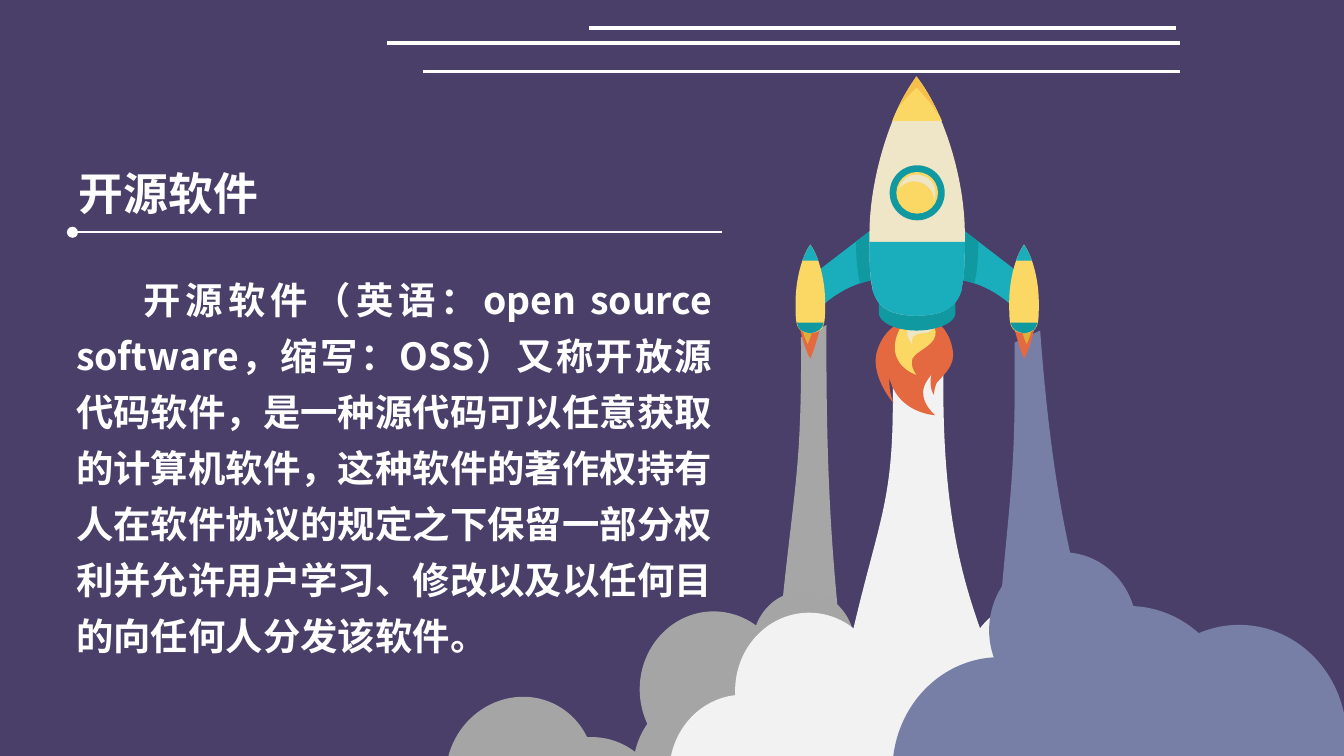
from lxml import etree
from pptx import Presentation
from pptx.dml.color import RGBColor
from pptx.enum.shapes import MSO_CONNECTOR, MSO_SHAPE
from pptx.enum.text import MSO_AUTO_SIZE, PP_ALIGN
from pptx.oxml.ns import qn
from pptx.util import Cm, Pt

STRAIGHT = MSO_CONNECTOR.STRAIGHT
OVAL = MSO_SHAPE.OVAL
FIT_TEXT = MSO_AUTO_SIZE.SHAPE_TO_FIT_TEXT
LEFT, JUSTIFY = PP_ALIGN.LEFT, PP_ALIGN.JUSTIFY

PURPLE = RGBColor(0x4A, 0x3F, 0x69)
WHITE = RGBColor(0xFF, 0xFF, 0xFF)
ASH = RGBColor(0xA5, 0xA5, 0xA5)
ASH_TRAIL = RGBColor(0xA6, 0xA6, 0xA6)
CLOUD = RGBColor(0xF2, 0xF2, 0xF2)
SLATE = RGBColor(0x78, 0x7F, 0xA7)
FIRE = RGBColor(0xE4, 0x69, 0x40)
YELLOW = RGBColor(0xFB, 0xD7, 0x64)
AMBER = RGBColor(0xF4, 0xBF, 0x4A)
OCHRE = RGBColor(0xDD, 0xAE, 0x3A)
CREAM = RGBColor(0xEF, 0xE5, 0xC7)
TEAL = RGBColor(0x1A, 0xAE, 0xBC)
DEEP_TEAL = RGBColor(0x10, 0x99, 0xA1)

FONT = "Noto Sans CJK SC"
GRID = 0.0254
ROCKET_WIDTH = 205
PUFF = (110, 116)

HEADING = "开源软件"
DEFINITION = (
    "开源软件（英语：open source software，缩写：OSS）又称开放源代码软件，"
    "是一种源代码可以任意获取的计算机软件，这种软件的著作权持有人在软件协议的规定之下"
    "保留一部分权利并允许用户学习、修改以及以任何目的向任何人分发该软件。"
)


def paint(shape, color):
    """Give a shape a plain fill without outline or shadow."""
    shape.fill.solid()
    shape.fill.fore_color.rgb = color
    shape.line.fill.background()
    shape.shadow.inherit = False


def add_disc(group, box, color, x, y, width, height, turn=0):
    """Draw an ellipse in grid units from the box's corner."""
    left, top = box
    disc = group.shapes.add_shape(OVAL, Cm(left + x * GRID), Cm(top + y * GRID),
                                  Cm(width * GRID), Cm(height * GRID))
    disc.rotation = turn
    paint(disc, color)


def add_outline(group, box, color, start, *segments, mirror=False):
    """Draw a closed outline; two numbers make a line, six make a curve."""
    left, top = box

    def place(x, y):
        """Turn a grid point into slide lengths."""
        return Cm(left + (ROCKET_WIDTH - x if mirror else x) * GRID), Cm(top + y * GRID)

    points = [place(*pair) for segment in segments for pair in zip(segment[::2], segment[1::2])]
    builder = group.shapes.build_freeform(*place(*start))
    builder.add_line_segments(points, close=True)
    outline = builder.convert_to_shape()
    steps = iter(list(outline.element.iter(qn("a:lnTo"))))
    for segment in segments:
        step = next(steps)
        if len(segment) == 6:
            step.tag = qn("a:cubicBezTo")
            for follower in (next(steps), next(steps)):
                step.append(follower[0])
                follower.getparent().remove(follower)
    paint(outline, color)


def add_rule(group, begin, end, weight, dotted=False):
    """Draw a white straight line, with a dot at its start on request."""
    rule = group.shapes.add_connector(STRAIGHT, *map(Cm, begin + end))
    rule.line.color.rgb = WHITE
    rule.line.width = Pt(weight)
    properties = rule.element.spPr
    if dotted:
        etree.SubElement(properties.find(qn("a:ln")), qn("a:headEnd"), type="oval")
    etree.SubElement(properties, qn("a:effectLst"))


def add_text(group, box, text, size, align=LEFT, indent=0, spacing=None):
    """Write one bold white paragraph in a wrapping text box."""
    frame = group.shapes.add_textbox(*map(Cm, box)).text_frame
    frame.word_wrap = True
    frame.auto_size = FIT_TEXT
    paragraph = frame.paragraphs[0]
    paragraph.alignment = align
    if spacing:
        paragraph.line_spacing = Pt(spacing)
    if indent:
        layout = paragraph._p.get_or_add_pPr()
        layout.set("marL", "0")
        layout.set("indent", str(Cm(indent)))
    run = paragraph.add_run()
    run.text = text
    run.font.size, run.font.bold, run.font.name = Pt(size), True, FONT
    run.font.color.rgb = WHITE
    etree.SubElement(run.font._element, qn("a:ea"), typeface=FONT)


def draw_smoke(group, box):
    """Draw the three trails and the clouds they rise from."""
    for x, y in [(32, 318), (83, 348)]:
        add_disc(group, box, ASH, x, y, *PUFF, turn=24.5)
    add_outline(group, box, ASH_TRAIL, (272, 372), (286, 163, 297, 181, 296, 51),
                (315, 42), (314, 232, 329, 265, 332, 372))
    add_outline(group, box, SLATE, (436, 367), (449, 158, 456, 185, 455, 55),
                (474, 46), (489, 253, 523, 263, 526, 370))
    add_outline(group, box, CLOUD, (312, 381), (349, 172, 367, 202, 364, 72),
                (402, 72), (399, 262, 450, 277, 461, 384))
    clouds = [
        (ASH, [(260, 240, 76, 80), (171, 315), (230, 321), (176, 255)]),
        (CLOUD, [(247, 256), (327, 244), (417, 246), (479, 273), (374, 337), (299, 349),
                 (198, 317), (379, 318, 163, 144), (85, 356, 363, 223), (384, 327, 258, 199)]),
        (SLATE, [(436, 211), (364, 289, 160, 169), (542, 265, 160, 169),
                 (460, 251, 160, 169), (588, 325, 160, 169), (680, 310, 165, 173)]),
    ]
    for color, puffs in clouds:
        for x, y, *size in puffs:
            add_disc(group, box, color, x, y, *(size or PUFF))


def draw_flame(group, box):
    """Draw the main engine's fire."""
    add_outline(group, box, FIRE, (126, 205), (127, 219, 108, 229, 107, 241),
                (106, 251, 116, 259, 116, 259), (116, 259, 91, 258, 83, 235),
                (77, 220, 81, 198, 92, 191), (108, 181, 126, 191, 126, 205))
    add_outline(group, box, FIRE, (113, 194), (113, 194, 125, 188, 129, 211),
                (131, 222, 122, 229, 117, 235), (115, 239, 115, 244, 115, 244),
                (115, 244, 111, 239, 113, 229), (115, 223, 121, 218, 119, 213),
                (116, 208, 109, 202, 109, 202))
    add_outline(group, box, FIRE, (100, 205), (100, 205, 83, 223, 82, 231),
                (81, 242, 85, 250, 85, 250), (85, 250, 69, 232, 72, 214),
                (79, 185, 105, 187, 105, 187))
    add_outline(group, box, YELLOW, (116, 200), (114, 208, 102, 211, 99, 217),
                (97, 223, 102, 229, 102, 229), (102, 229, 88, 225, 86, 211),
                (85, 201, 91, 189, 98, 187), (109, 183, 118, 192, 116, 200))
    add_outline(group, box, CREAM, (113, 196), (110, 199, 103, 197, 100, 200),
                (98, 202, 99, 206, 99, 206), (99, 206, 93, 200, 96, 193),
                (98, 188, 104, 184, 108, 185), (114, 186, 116, 192, 113, 196))


def draw_booster(group, box, mirror):
    """Draw one wing with its booster."""
    parts = [
        (TEAL, (19, 159), (71, 119), (78, 158), (78, 158, 59, 156, 36, 174),
         (30, 179, 26, 186, 26, 186)),
        (FIRE, (14, 188), (16, 199, 19, 210, 23, 217), (26, 210, 29, 199, 32, 188)),
        (OCHRE, (16, 189), (17, 196, 19, 202, 21, 206), (23, 202, 25, 196, 26, 189)),
        (YELLOW, (23, 132), (16, 142, 12, 160, 12, 175), (12, 192, 12, 197, 23, 198),
         (34, 197, 34, 192, 34, 175), (34, 160, 30, 142, 23, 132)),
        (TEAL, (29, 144), (27, 139, 25, 135, 23, 132), (21, 135, 19, 139, 17, 144)),
        (DEEP_TEAL, (13, 190), (14, 195, 16, 197, 23, 198), (29, 197, 32, 195, 33, 190)),
        (DEEP_TEAL, (57, 130), (57, 143, 58, 153, 60, 161), (71, 157, 78, 158, 78, 158),
         (71, 119)),
    ]
    for part in parts:
        add_outline(group, box, *part, mirror=mirror)


def draw_rocket(group, box):
    """Draw the rocket with flame, boosters, hull and window."""
    draw_flame(group, box)
    add_outline(group, box, DEEP_TEAL, (102, 182), (87, 182, 74, 176, 74, 169), (74, 183),
                (74, 190, 87, 196, 102, 196), (118, 196, 131, 190, 131, 183), (131, 169),
                (131, 176, 118, 182, 102, 182))
    for mirror in (True, False):
        draw_booster(group, box, mirror)
    add_outline(group, box, CREAM, (102, 7), (82, 34, 67, 84, 67, 124),
                (67, 169, 67, 184, 102, 185), (137, 184, 138, 169, 138, 124),
                (138, 84, 123, 34, 102, 7))
    add_outline(group, box, TEAL, (67, 130), (67, 170, 69, 184, 102, 185),
                (136, 184, 138, 170, 138, 130))
    add_outline(group, box, YELLOW, (121, 40), (115, 27, 109, 16, 102, 7),
                (96, 16, 89, 27, 84, 40))
    add_outline(group, box, AMBER, (102, 15), (108, 21, 113, 27, 118, 35),
                (114, 24, 108, 15, 102, 7), (97, 14, 92, 22, 88, 31), (92, 25, 97, 20, 102, 15))
    add_outline(group, box, TEAL, (69, 165), (73, 179, 81, 184, 102, 185),
                (123, 184, 132, 179, 136, 165))
    add_disc(group, box, DEEP_TEAL, 82, 73, 41, 41)
    add_disc(group, box, YELLOW, 87, 78, 31, 31)
    add_outline(group, box, CREAM, (100, 85), (108, 85, 115, 91, 115, 99),
                (115, 99, 115, 100, 115, 100), (116, 98, 116, 96, 116, 93),
                (116, 86, 110, 80, 102, 80), (96, 80, 91, 84, 89, 90), (92, 87, 96, 85, 100, 85))


def write_definition(group, box):
    """Write the definition, its heading and the rule between them."""
    left, top = box
    add_text(group, (left, top + 1.9, 12.52, 7.65), DEFINITION, 20,
             align=JUSTIFY, indent=1.27, spacing=30)
    add_text(group, (left + 0.05, top, 9.7, 1.27), HEADING, 24)
    add_rule(group, (left + 0.18, top + 1.39), (left + 12.45, top + 1.39), 1, dotted=True)


def draw_streaks(group, box):
    """Draw the speed lines above the rocket."""
    left, top = box
    for begin, end, drop in [(14.98, 0, 0.28), (14.98, 0.68, 0.82), (14.9, 3.81, 0)]:
        add_rule(group, (left + begin, top + drop), (left + end, top + drop), 2)


def main():
    """Build and save the slide."""
    deck = Presentation()
    deck.slide_width, deck.slide_height = Cm(25.4), Cm(14.29)
    slide = deck.slides.add_slide(deck.slide_layouts[6])
    slide.background.fill.solid()
    slide.background.fill.fore_color.rgb = PURPLE
    launch = slide.shapes.add_group_shape()
    draw_smoke(launch, (7.62, 5.08))
    draw_rocket(launch, (14.73, 1.27))
    write_definition(slide.shapes.add_group_shape(), (1.19, 3))
    draw_streaks(slide.shapes.add_group_shape(), (7.32, 0.53))
    deck.save("out.pptx")


main()
